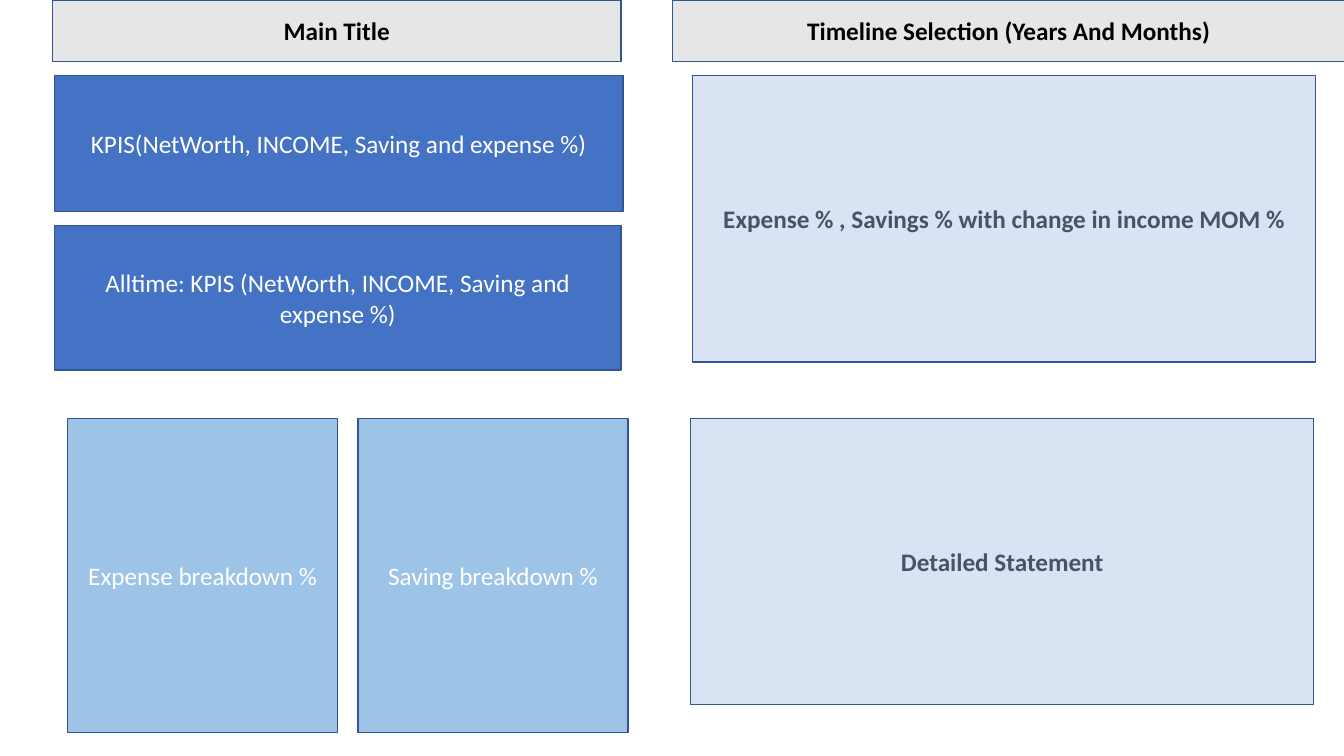
import pptx
import pptx.dml.color
import pptx.enum.shapes
import pptx.enum.text
import pptx.util

RGBColor = pptx.dml.color.RGBColor
Inches = pptx.util.Inches
Pt = pptx.util.Pt

WHITE = RGBColor(0xFF, 0xFF, 0xFF)
BLACK = RGBColor(0x00, 0x00, 0x00)
SLATE = RGBColor(0x44, 0x54, 0x6A)
GREY = RGBColor(0xE7, 0xE6, 0xE6)
BLUE = RGBColor(0x44, 0x72, 0xC4)
SKY = RGBColor(0x9D, 0xC3, 0xE6)
PALE = RGBColor(0xDA, 0xE3, 0xF3)
OUTLINE = RGBColor(0x32, 0x54, 0x91)

# Style: fill, font colour, bold
STYLES = {
    "header": (GREY, BLACK, True),
    "kpi": (BLUE, WHITE, False),
    "breakdown": (SKY, WHITE, False),
    "detail": (PALE, SLATE, True),
}

HEADER_TOP, UPPER_TOP, LOWER_TOP = 0, 0.75, 4.15
HEADER_HEIGHT, BREAKDOWN_HEIGHT, DETAIL_HEIGHT = 0.61, 3.12, 2.84
BREAKDOWN_WIDTH, DETAIL_WIDTH = 2.68, 6.18
BREAKDOWN_LEFT, BREAKDOWN_GAP = 0.67, 0.2

TITLE = ("Main Title", "header", (0.52, HEADER_TOP, 5.64, HEADER_HEIGHT))
PANELS = [
    ("Timeline Selection (Years And Months)", "header",
     (6.67, HEADER_TOP, 6.67, HEADER_HEIGHT)),
    ("KPIS(NetWorth, INCOME, Saving and expense %)", "kpi",
     (0.54, UPPER_TOP, 5.64, 1.35)),
    ("Alltime: KPIS (NetWorth, INCOME, Saving and expense %)", "kpi",
     (0.54, 2.24, 5.62, 1.43)),
    ("Expense % , Savings % with change in income MOM %", "detail",
     (6.87, UPPER_TOP, DETAIL_WIDTH, DETAIL_HEIGHT)),
    ("Detailed Statement", "detail",
     (6.85, LOWER_TOP, DETAIL_WIDTH, DETAIL_HEIGHT)),
]
BREAKDOWNS = ["Expense breakdown %", "Saving breakdown %"]


def format_panel(shape, text, style, box):
    """Place a shape and give it the text, fill and font of its style."""
    fill, font_color, bold = STYLES[style]
    for name, length in zip(("left", "top", "width", "height"), box):
        setattr(shape, name, Inches(length))
    shape.fill.solid()
    shape.fill.fore_color.rgb = fill
    shape.line.color.rgb = OUTLINE
    shape.line.width = Pt(1)

    frame = shape.text_frame
    frame.text = text
    frame_format = {
        "word_wrap": True,
        "auto_size": pptx.enum.text.MSO_AUTO_SIZE.NONE,
        "vertical_anchor": pptx.enum.text.MSO_ANCHOR.MIDDLE,
    }
    for name, value in frame_format.items():
        setattr(frame, name, value)
    paragraph = frame.paragraphs[0]
    paragraph.alignment = pptx.enum.text.PP_ALIGN.CENTER
    font = paragraph.runs[0].font
    for name, value in {"name": "Calibri", "size": Pt(18), "bold": bold}.items():
        setattr(font, name, value)
    font.color.rgb = font_color


def add_panel(slide, text, style, box):
    shape = slide.shapes.add_shape(
        pptx.enum.shapes.MSO_SHAPE.RECTANGLE, 0, 0, 0, 0)
    shape.shadow.inherit = False
    format_panel(shape, text, style, box)


def main():
    presentation = pptx.Presentation()
    presentation.slide_width = Inches(13.33)
    presentation.slide_height = Inches(7.5)
    title_only = presentation.slide_layouts.get_by_name("Title Only")
    slide = presentation.slides.add_slide(title_only)

    format_panel(slide.shapes.title, *TITLE)
    for panel in PANELS:
        add_panel(slide, *panel)
    for column, text in enumerate(BREAKDOWNS):
        left = BREAKDOWN_LEFT + column * (BREAKDOWN_WIDTH + BREAKDOWN_GAP)
        add_panel(slide, text, "breakdown",
                  (left, LOWER_TOP, BREAKDOWN_WIDTH, BREAKDOWN_HEIGHT))

    presentation.save("out.pptx")


if __name__ == "__main__":
    main()
